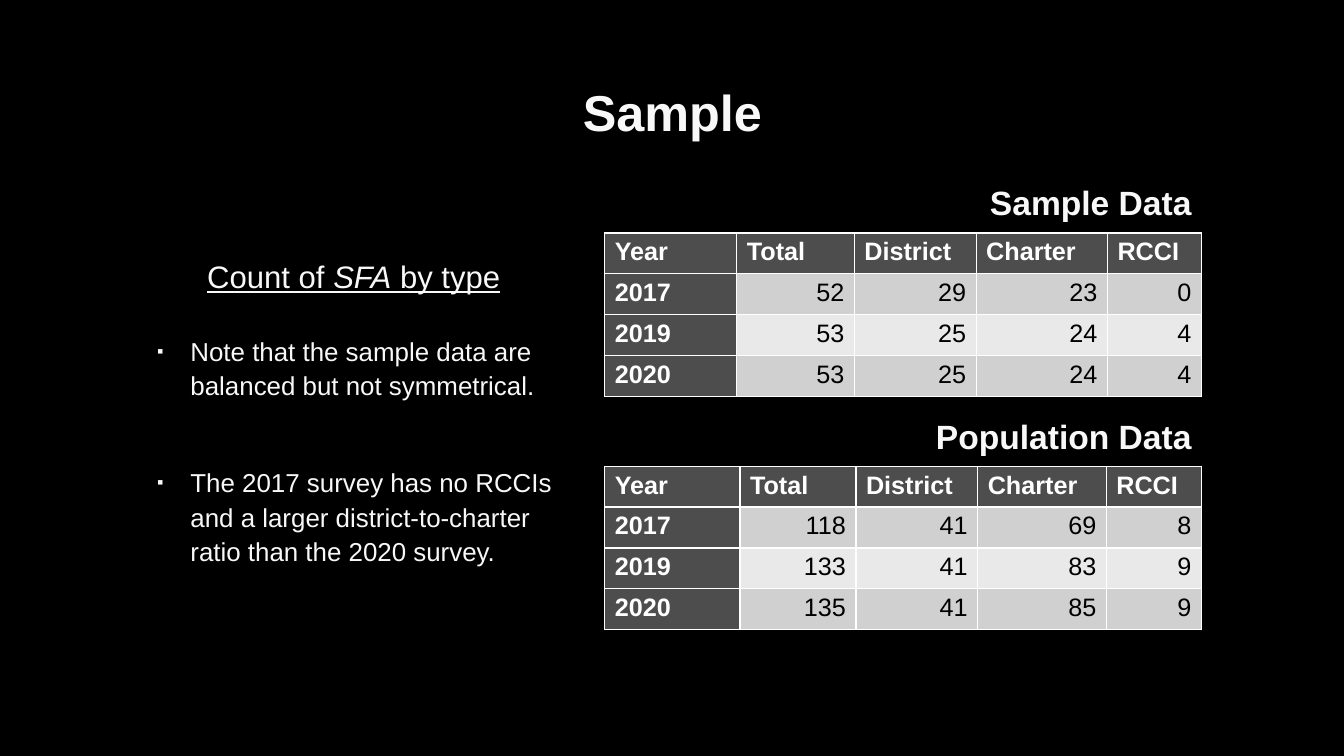
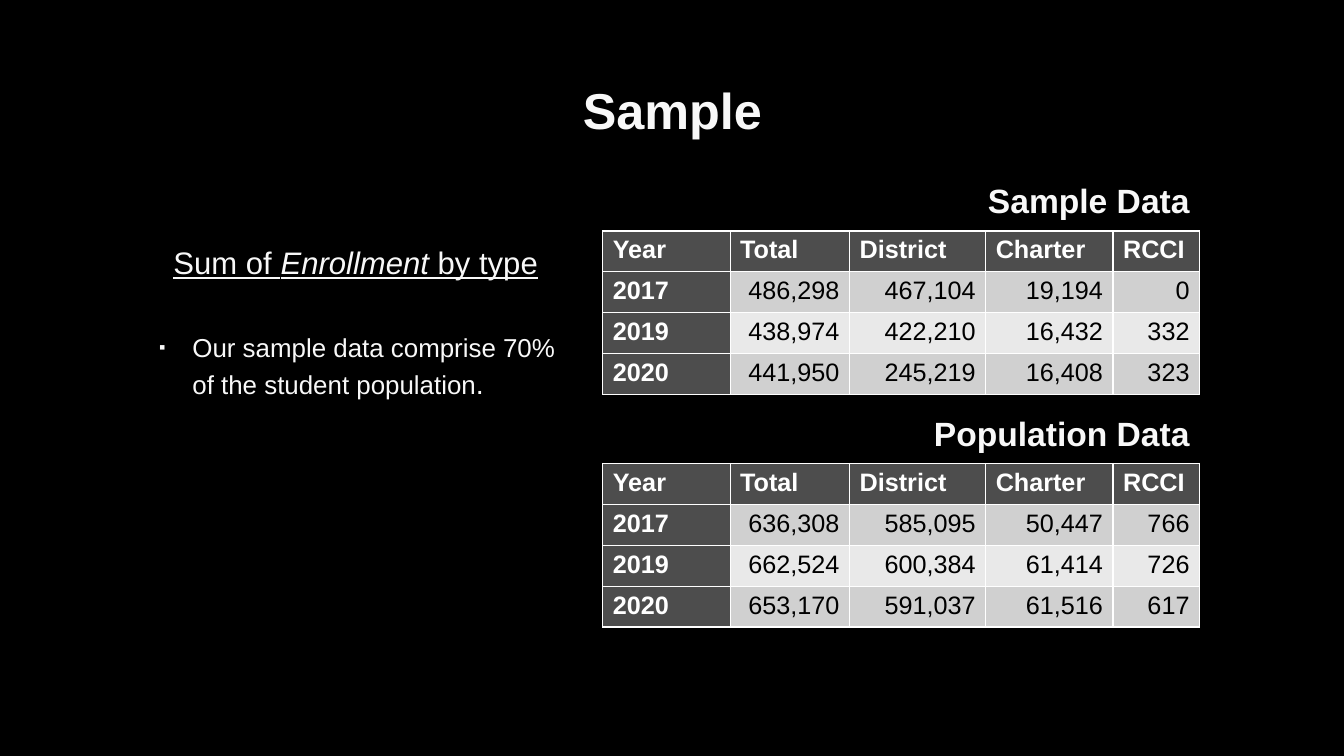
"""Build two slides that compare sample and population tables."""
from lxml import etree
from pptx import Presentation
from pptx.dml.color import RGBColor
from pptx.enum import text
from pptx.oxml import ns
from pptx.util import Cm, Pt

BLACK = RGBColor(0x00, 0x00, 0x00)
WHITE = RGBColor(0xFF, 0xFF, 0xFF)
OFF_WHITE = RGBColor(0xF8, 0xF8, 0xF8)
DARK_GRAY = RGBColor(0x4D, 0x4D, 0x4D)
BANDS = (RGBColor(0xD0, 0xD0, 0xD0), RGBColor(0xE9, 0xE9, 0xE9))
FONT = "Arial"
TABLE_WIDTH = 15.04
ROW_HEIGHT = 1.03
LABEL_HEIGHT = 1.42
HEADER = ("Year", "Total", "District", "Charter", "RCCI")
ENROLLMENT_COLUMNS = (3.21, 3.01, 3.43, 3.21, 2.18)

SLIDES = [
    {
        "title_top": 1.68,
        "heading": ("Count of ", "SFA", " by type"),
        "notes_at": (3.58, 6.27, 9.91),
        "heading_gap": 23,
        "bullets": [
            [("Note that the sample data are balanced but not symmetrical.", 18.5)],
            [("The 2017 survey has no RCCIs and a larger district-to-charter "
              "ratio than the 2020 survey.", 18.5)],
        ],
        "table_left": 15.24,
        "tables": [
            ("Sample Data", 5.87, ROW_HEIGHT, (3.33, 2.96, 3.07, 3.31, 2.37), [
                ("2017", "52", "29", "23", "0"),
                ("2019", "53", "25", "24", "4"),
                ("2020", "53", "25", "24", "4"),
            ]),
            ("Population Data", 11.76, 0.96, (3.41, 2.92, 3.07, 3.24, 2.4), [
                ("2017", "118", "41", "69", "8"),
                ("2019", "133", "41", "83", "9"),
                ("2020", "135", "41", "85", "9"),
            ]),
        ],
    },
    {
        "title_top": 1.63,
        "heading": ("Sum of ", "Enrollment", " by type"),
        "notes_at": (3.63, 5.92, 4.65),
        "heading_gap": 30,
        "bullets": [
            [("Our sample data comprise 70% of the student population", 18.5),
             (".", 20.4)],
        ],
        "table_left": 15.19,
        "tables": [
            ("Sample Data", 5.82, ROW_HEIGHT, ENROLLMENT_COLUMNS, [
                ("2017", "486,298", "467,104", "19,194", "0"),
                ("2019", "438,974", "422,210", "16,432", "332"),
                ("2020", "441,950", "245,219", "16,408", "323"),
            ]),
            ("Population Data", 11.68, ROW_HEIGHT, ENROLLMENT_COLUMNS, [
                ("2017", "636,308", "585,095", "50,447", "766"),
                ("2019", "662,524", "600,384", "61,414", "726"),
                ("2020", "653,170", "591,037", "61,516", "617"),
            ]),
        ],
    },
]


def format_paragraph(paragraph, size, color, bold=False, align=text.PP_ALIGN.LEFT):
    """Set the alignment and font of a paragraph."""
    paragraph.alignment = align
    paragraph.font.name = FONT
    paragraph.font.size = Pt(size)
    paragraph.font.bold = bold
    paragraph.font.color.rgb = color


def add_bullet(paragraph):
    """Give a paragraph a hanging square bullet."""
    properties = paragraph._p.get_or_add_pPr()
    properties.set("marL", str(Cm(0.97)))
    properties.set("indent", str(Cm(-0.84)))
    color = etree.SubElement(properties, ns.qn("a:buClr"))
    etree.SubElement(color, ns.qn("a:srgbClr"), val=str(OFF_WHITE))
    etree.SubElement(properties, ns.qn("a:buSzPct"), val="70000")
    etree.SubElement(properties, ns.qn("a:buFont"), typeface=FONT)
    etree.SubElement(properties, ns.qn("a:buChar"), char="▪")


presentation = Presentation()
presentation.slide_width = Cm(33.87)
presentation.slide_height = Cm(19.05)
background = presentation.slide_master.background.fill
background.solid()
background.fore_color.rgb = BLACK

for content in SLIDES:
    slide = presentation.slides.add_slide(presentation.slide_layouts[5])

    title = slide.shapes.title
    title.left, title.top = Cm(2.57), Cm(content["title_top"])
    title.width, title.height = Cm(28.75), Cm(2.44)
    title.text_frame.text = "Sample"
    title.text_frame.vertical_anchor = text.MSO_ANCHOR.MIDDLE
    paragraph = title.text_frame.paragraphs[0]
    paragraph.line_spacing = 0.9
    format_paragraph(paragraph, 36, OFF_WHITE, True, text.PP_ALIGN.CENTER)

    left, top, height = content["notes_at"]
    notes = slide.shapes.add_textbox(Cm(left), Cm(top), Cm(10.62), Cm(height))
    frame = notes.text_frame
    frame.word_wrap = True
    frame.margin_right = Cm(0.2)
    heading = frame.paragraphs[0]
    heading.line_spacing = 1.1
    heading.space_before = Pt(2)
    heading.space_after = Pt(content["heading_gap"])
    format_paragraph(heading, 22.2, OFF_WHITE, align=text.PP_ALIGN.CENTER)
    heading.font.underline = True
    for index, words in enumerate(content["heading"]):
        run = heading.add_run()
        run.text = words
        run.font.italic = index == 1

    for runs in content["bullets"]:
        paragraph = frame.add_paragraph()
        paragraph.line_spacing = 1.1
        paragraph.space_before = Pt(4)
        paragraph.space_after = Pt(41)
        add_bullet(paragraph)
        format_paragraph(paragraph, 18.5, OFF_WHITE)
        for words, size in runs:
            run = paragraph.add_run()
            run.text = words
            run.font.size = Pt(size)

    left = Cm(content["table_left"])
    for label_text, top, header_height, widths, records in content["tables"]:
        label = slide.shapes.add_textbox(
            left, Cm(top - LABEL_HEIGHT), Cm(TABLE_WIDTH), Cm(LABEL_HEIGHT))
        label.text_frame.word_wrap = True
        label.text_frame.vertical_anchor = text.MSO_ANCHOR.MIDDLE
        label.text_frame.text = label_text
        paragraph = label.text_frame.paragraphs[0]
        paragraph.line_spacing = 0.9
        format_paragraph(paragraph, 24, OFF_WHITE, True, text.PP_ALIGN.RIGHT)

        rows = [HEADER, *records]
        table = slide.shapes.add_table(
            len(rows), len(HEADER), left, Cm(top), Cm(TABLE_WIDTH),
            Cm(header_height + ROW_HEIGHT * len(records))).table
        table.first_col = True
        for column, width in zip(table.columns, widths):
            column.width = Cm(width)
        for row_index, values in enumerate(rows):
            table.rows[row_index].height = Cm(ROW_HEIGHT if row_index else header_height)
            for column_index, value in enumerate(values):
                cell = table.cell(row_index, column_index)
                is_header = row_index == 0 or column_index == 0
                cell.text = value
                cell.fill.solid()
                cell.fill.fore_color.rgb = (
                    DARK_GRAY if is_header else BANDS[(row_index - 1) % 2])
                format_paragraph(
                    cell.text_frame.paragraphs[0], 18,
                    WHITE if is_header else BLACK, is_header,
                    text.PP_ALIGN.LEFT if is_header else text.PP_ALIGN.RIGHT)

presentation.save("out.pptx")
